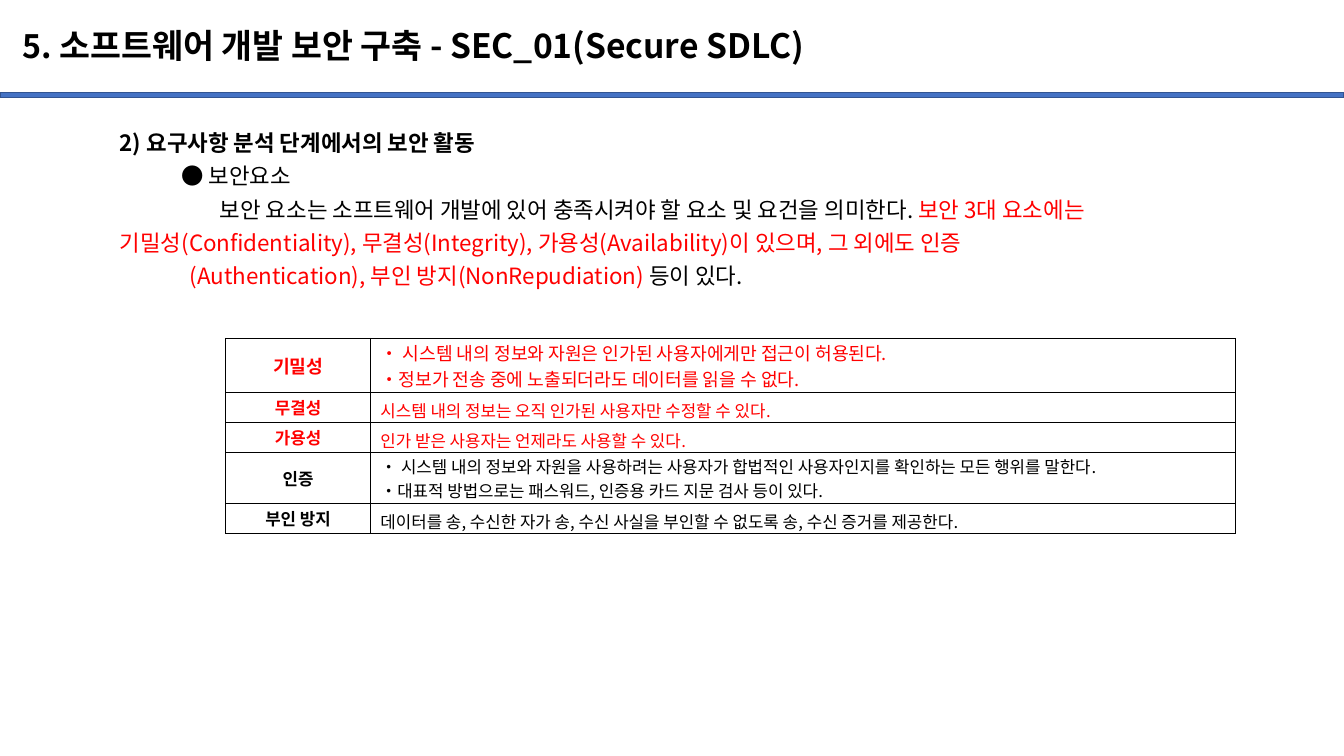
from pptx import Presentation
from pptx.dml.color import RGBColor
from pptx.enum.shapes import MSO_SHAPE
from pptx.enum.text import MSO_ANCHOR, MSO_AUTO_SIZE, PP_ALIGN
from pptx.oxml.ns import qn
from pptx.util import Pt
from lxml.etree import SubElement

BLACK = RGBColor(0x00, 0x00, 0x00)
RED = RGBColor(0xFF, 0x00, 0x00)
BLUE = RGBColor(0x44, 0x72, 0xC4)
DARK_BLUE = RGBColor(0x32, 0x54, 0x91)
FONT = "Noto Sans CJK KR"


def add_text(paragraph, text, size=16, color=BLACK, bold=False):
    """Add one formatted run; a line feed in the text becomes a line break."""
    for index, line in enumerate(text.split("\n")):
        if index:
            paragraph.add_line_break()
        run = paragraph.add_run()
        run.text = line
        font = run.font
        font.size, font.bold, font.name = Pt(size), bold, FONT
        font.color.rgb = color
        SubElement(run._r.get_or_add_rPr(), qn("a:ea"), typeface=FONT)


class SlideBuilder:
    def __init__(self, slide):
        self.slide = slide

    def bar(self, left, top, width, height):
        bar = self.slide.shapes.add_shape(
            MSO_SHAPE.RECTANGLE, Pt(left), Pt(top), Pt(width), Pt(height))
        bar.shadow.inherit = False
        bar.fill.solid()
        bar.fill.fore_color.rgb = BLUE
        bar.line.color.rgb = DARK_BLUE
        bar.line.width = Pt(1)

    def text_box(self, left, top, width, height, paragraphs, spacing,
                 anchor=MSO_ANCHOR.TOP, auto_size=MSO_AUTO_SIZE.NONE):
        """Each paragraph is a first-line indent and a list of (text, format)."""
        frame = self.slide.shapes.add_textbox(
            Pt(left), Pt(top), Pt(width), Pt(height)).text_frame
        frame.word_wrap = True
        frame.auto_size = auto_size
        frame.vertical_anchor = anchor
        for index, (indent, runs) in enumerate(paragraphs):
            paragraph = frame.add_paragraph() if index else frame.paragraphs[0]
            paragraph.line_spacing = spacing
            if indent:
                properties = paragraph._p.get_or_add_pPr()
                properties.set("marL", "0")
                properties.set("indent", str(Pt(indent)))
            for text, style in runs:
                add_text(paragraph, text, **style)

    def table(self, left, top, widths, rows):
        """Each row is a height, text size, colour, term and description lines."""
        table = self.slide.shapes.add_table(
            len(rows), len(widths), Pt(left), Pt(top), Pt(sum(widths)),
            Pt(sum(row[0] for row in rows))).table
        table.first_row = table.horz_banding = False
        for column, width in zip(table.columns, widths):
            column.width = Pt(width)
        for row, (height, size, color, term, lines) in zip(table.rows, rows):
            row.height = Pt(height)
            term_cell, description_cell = row.cells
            top_margin = 3.6 if len(lines) == 1 else 0.8
            self.fill_cell(term_cell, [term], 0, PP_ALIGN.CENTER,
                           size=size, color=color, bold=True)
            self.fill_cell(description_cell, lines, top_margin, PP_ALIGN.LEFT,
                           size=size, color=color)

    def fill_cell(self, cell, lines, top_margin, alignment, **style):
        cell.margin_top, cell.margin_bottom = Pt(top_margin), Pt(0)
        cell.vertical_anchor = MSO_ANCHOR.MIDDLE
        frame = cell.text_frame
        for index, line in enumerate(lines):
            paragraph = frame.add_paragraph() if index else frame.paragraphs[0]
            paragraph.alignment = alignment
            add_text(paragraph, line, **style)
        # Borders come before the fill in the cell properties
        properties = cell._tc.get_or_add_tcPr()
        for side in ("a:lnL", "a:lnR", "a:lnT", "a:lnB"):
            border = SubElement(properties, qn(side), w=str(Pt(1)))
            fill = SubElement(border, qn("a:solidFill"))
            SubElement(fill, qn("a:srgbClr"), val=str(BLACK))
        cell.fill.background()


def main():
    presentation = Presentation()
    presentation.slide_width, presentation.slide_height = Pt(960), Pt(540)
    builder = SlideBuilder(
        presentation.slides.add_slide(presentation.slide_layouts[6]))

    # Heading
    builder.bar(0, 66.2, 960, 3.6)
    heading = [("5. ", dict(size=23, bold=True)),
               ("소프트웨어 개발 보안 구축 - SEC_01(Secure SDLC)",
                dict(size=24, bold=True))]
    builder.text_box(9.2, 7.2, 913, 53.3, [(0, heading)], 0.9,
                     anchor=MSO_ANCHOR.MIDDLE)

    # Security elements
    security_elements = [
        (0, [("2) 요구사항 분석 단계에서의 보안 활동", dict(bold=True))]),
        (44, [("● 보안요소", {})]),
        (71.5, [("보안 요소는 소프트웨어 개발에 있어 충족시켜야 할 요소 및 요건을 의미한다. ", {}),
                ("보안 3대 요소에는\n기밀성(Confidentiality), 무결성(Integrity), "
                 "가용성(Availability)이 있으며, 그 외에도 인증", dict(color=RED))]),
        (50, [("(Authentication), 부인 방지(NonRepudiation) ", dict(color=RED)),
              ("등이 있다.", {})]),
    ]
    builder.text_box(78.5, 84.2, 866, 152.6, security_elements, 1.24,
                     auto_size=MSO_AUTO_SIZE.SHAPE_TO_FIT_TEXT)

    # Definitions
    definitions = [
        (38.6, 13, RED, "기밀성",
         ["• 시스템 내의 정보와 자원은 인가된 사용자에게만 접근이 허용된다.",
          "•정보가 전송 중에 노출되더라도 데이터를 읽을 수 없다."]),
        (21.4, 12, RED, "무결성",
         ["시스템 내의 정보는 오직 인가된 사용자만 수정할 수 있다."]),
        (21.4, 12, RED, "가용성",
         ["인가 받은 사용자는 언제라도 사용할 수 있다."]),
        (36.4, 12, BLACK, "인증",
         ["• 시스템 내의 정보와 자원을 사용하려는 사용자가 합법적인 사용자인지를 확인하는 모든 행위를 말한다.",
          "•대표적 방법으로는 패스워드, 인증용 카드 지문 검사 등이 있다."]),
        (21.4, 12, BLACK, "부인 방지",
         ["데이터를 송, 수신한 자가 송, 수신 사실을 부인할 수 없도록 송, 수신 증거를 제공한다."]),
    ]
    builder.table(161.2, 241.7, [103.4, 618], definitions)

    presentation.save("out.pptx")


if __name__ == "__main__":
    main()
